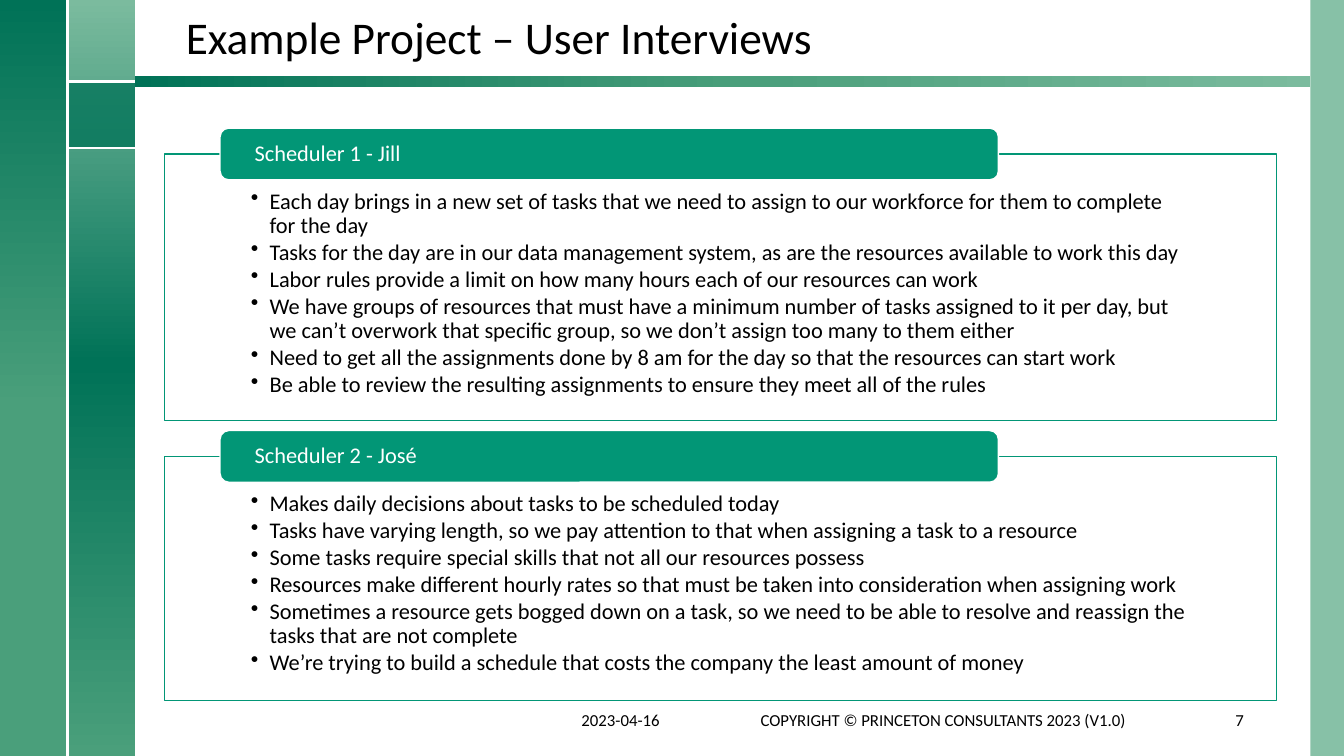
from dataclasses import dataclass

from lxml import etree
from pptx import Presentation
from pptx.dml.color import RGBColor
from pptx.enum.shapes import MSO_CONNECTOR, MSO_SHAPE
from pptx.enum.text import MSO_ANCHOR, MSO_AUTO_SIZE, PP_ALIGN
from pptx.oxml.ns import qn
from pptx.util import Pt

RECT, ROUND = MSO_SHAPE.RECTANGLE, MSO_SHAPE.ROUNDED_RECTANGLE
LINE = MSO_CONNECTOR.STRAIGHT
TOP, MIDDLE, BOTTOM = MSO_ANCHOR.TOP, MSO_ANCHOR.MIDDLE, MSO_ANCHOR.BOTTOM
LEFT, CENTER, RIGHT = PP_ALIGN.LEFT, PP_ALIGN.CENTER, PP_ALIGN.RIGHT


@dataclass(frozen=True)
class Theme:
    font: str = "Calibri"
    head: float = 32.4
    text: float = 16
    foot: float = 12
    black: str = "000000"
    white: str = "FFFFFF"
    teal: str = "029676"
    dark: str = "007257"
    mid: str = "4A9F7B"
    pale: str = "7BBB9E"


T = Theme()


def add_box(kind, left, top, width, height, color, alpha=100, edge=None):
    """Add a shape with a solid fill, alpha in percent, and an optional 1 pt edge."""
    box = slide.shapes.add_shape(kind, Pt(left), Pt(top), Pt(width), Pt(height))
    box.shadow.inherit = False
    box.fill.solid()
    box.fill.fore_color.rgb = RGBColor.from_string(color)
    if alpha < 100:
        tint = box._element.spPr.find(".//" + qn("a:srgbClr"))
        etree.SubElement(tint, qn("a:alpha"), val=str(alpha * 1000))
    if edge:
        box.line.color.rgb = RGBColor.from_string(edge)
        box.line.width = Pt(1)
    else:
        box.line.fill.background()
    return box


def set_text(shape, lines, size, color, anchor, align=LEFT, pads=None, bullet=False):
    """Fill a shape with paragraphs; pads are the side, top and bottom insets."""
    frame = shape.text_frame
    frame.auto_size = MSO_AUTO_SIZE.NONE
    frame.word_wrap = True
    frame.vertical_anchor = anchor
    if pads:
        frame.margin_left = frame.margin_right = Pt(pads[0])
        frame.margin_top, frame.margin_bottom = Pt(pads[1]), Pt(pads[2])
    frame.text = "\n".join(lines)
    for para in frame.paragraphs:
        para.alignment = align
        para.line_spacing = 0.9
        if bullet:
            para.level = 1
            para.space_after = Pt(2)
            props = para._p.get_or_add_pPr()
            props.set("marL", str(Pt(13.5)))
            props.set("indent", str(-Pt(13.5)))
            etree.SubElement(props, qn("a:buChar"), char="•")
        para.font.name = T.font
        para.font.size = Pt(size)
        para.font.color.rgb = RGBColor.from_string(color)


deck = Presentation()
deck.slide_width, deck.slide_height = Pt(960), Pt(540)
slide = deck.slides.add_slide(deck.slide_layouts[5])

# Frame of the slide: side strips, title bar and white dividers
add_box(RECT, 936, 0, 24, 540, T.pale, 90)
blends = [
    ((48.2, 0, 48.2, 540), 90, [(0, T.pale), (48, T.dark), (100, T.mid)]),
    ((0, 0, 48.2, 540), 270, [(0, T.mid), (46, T.mid), (100, T.dark)]),
    ((96.4, 54.2, 839.6, 8), 180, [(0, T.pale), (48, T.mid), (100, T.dark)]),
]
for place, angle, stops in blends:
    strip = add_box(RECT, *place, T.mid)
    strip.fill.gradient()
    strip.fill.gradient_angle = 360 - angle
    ramp = strip._element.spPr.find(".//" + qn("a:gsLst"))
    ramp.clear()
    for spot, color in stops:
        stop = etree.SubElement(ramp, qn("a:gs"), pos=str(spot * 1000))
        etree.SubElement(stop, qn("a:srgbClr"), val=color)

add_box(RECT, 48.2, 58.2, 48.2, 47.8, T.dark, 75)
for ends in [(48.2, 58.2, 96.4, 58.2), (48.2, 106, 96.4, 106), (48.2, 0, 48.2, 540)]:
    rule = slide.shapes.add_connector(LINE, *map(Pt, ends))
    rule.line.color.rgb = RGBColor.from_string(T.white)
    rule.line.width = Pt(1.5)
    etree.SubElement(rule._element.spPr, qn("a:effectLst"))

title = slide.shapes.title
title.left, title.top, title.width, title.height = map(Pt, (125.5, 5.8, 770.4, 44))
set_text(title, ["Example Project – User Interviews"], T.head, T.black, BOTTOM)

# Interview panels, each with a tab centred on its top edge
panels = [
    ("Scheduler 1 - Jill", 110, 190.5, [
        "Each day brings in a new set of tasks that we need to assign to our workforce for them to complete for the day",
        "Tasks for the day are in our data management system, as are the resources available to work this day",
        "Labor rules provide a limit on how many hours each of our resources can work",
        "We have groups of resources that must have a minimum number of tasks assigned to it per day, but we can’t overwork that specific group, so we don’t assign too many to them either",
        "Need to get all the assignments done by 8 am for the day so that the resources can start work",
        "Be able to review the resulting assignments to ensure they meet all of the rules",
    ]),
    ("Scheduler 2 - José", 326, 174.5, [
        "Makes daily decisions about tasks to be scheduled today",
        "Tasks have varying length, so we pay attention to that when assigning a task to a resource",
        "Some tasks require special skills that not all our resources possess",
        "Resources make different hourly rates so that must be taken into consideration when assigning work",
        "Sometimes a resource gets bogged down on a task, so we need to be able to resolve and reassign the tasks that are not complete",
        "We’re trying to build a schedule that costs the company the least amount of money",
    ]),
]
TAB = 36.9
for name, top, height, notes in panels:
    panel = add_box(RECT, 117.4, top, 794.4, height, T.white, 90, T.teal)
    set_text(panel, notes, T.text, T.black, TOP, pads=(61.7, 25.6, 8.5), bullet=True)
    tab = add_box(ROUND, 157.2, top - TAB / 2, 556, TAB, T.teal, edge=T.white)
    set_text(tab, [name], T.text, T.white, MIDDLE, pads=(23, 2, 2))

# Footer
footer = [
    ("2023-04-16", 408.2, 96, LEFT),
    ("COPYRIGHT © PRINCETON CONSULTANTS 2023 (V1.0)", 515.8, 316, CENTER),
    ("7", 847.6, 48, RIGHT),
]
for words, left, width, align in footer:
    foot = slide.shapes.add_textbox(Pt(left), Pt(500.8), Pt(width), Pt(28.8))
    set_text(foot, [words], T.foot, T.black, MIDDLE, align)

deck.save("out.pptx")
